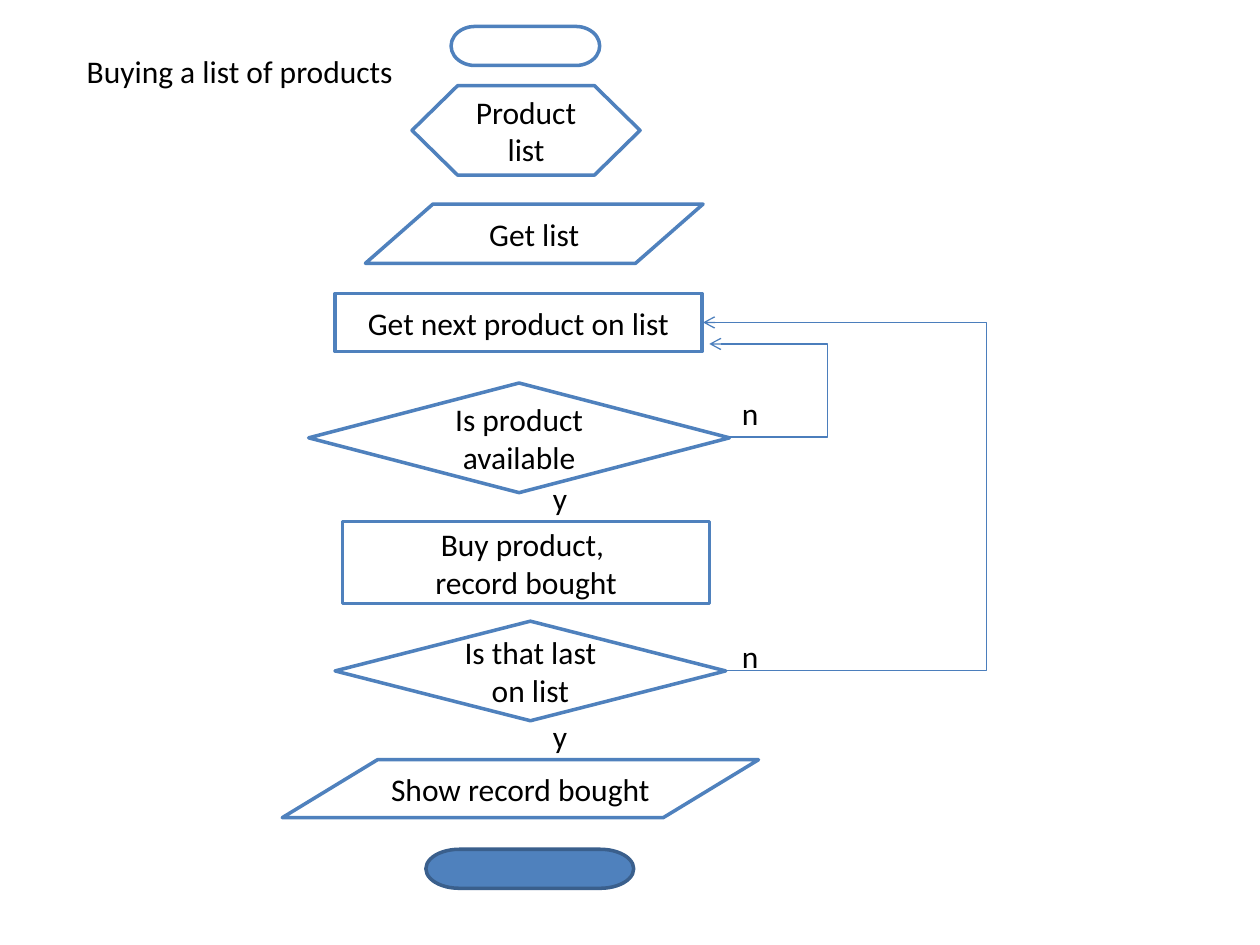
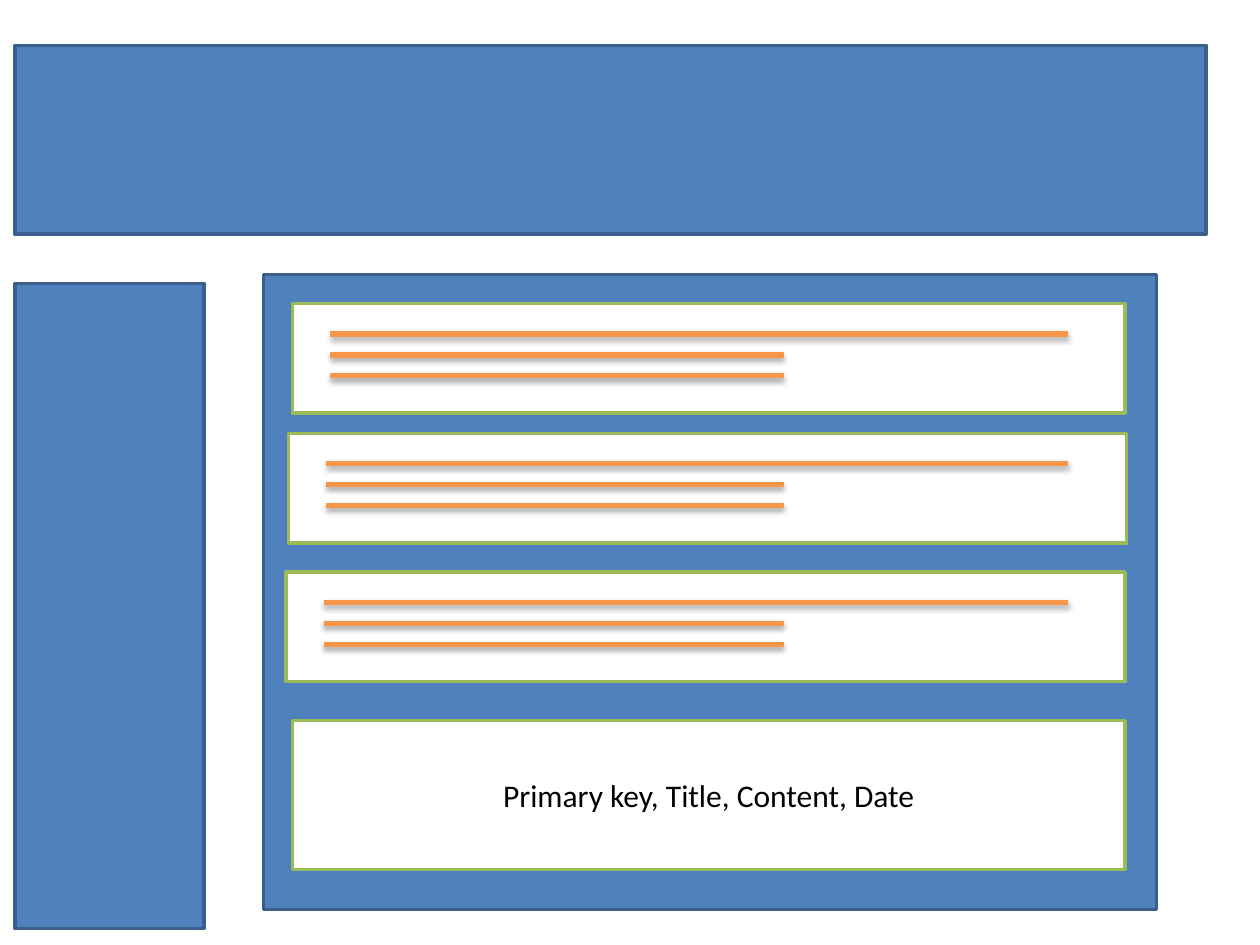
from lxml import etree
from pptx import Presentation
from pptx.dml.color import RGBColor
from pptx.enum.shapes import MSO_CONNECTOR as Link, MSO_SHAPE as Form
from pptx.enum.text import MSO_ANCHOR, MSO_AUTO_SIZE, PP_ALIGN
from pptx.oxml.ns import qn
from pptx.util import Inches, Pt

WHITE = RGBColor(0xFF, 0xFF, 0xFF)
BLACK = RGBColor(0x00, 0x00, 0x00)
BLUE = RGBColor(0x4F, 0x81, 0xBD)
DARK_BLUE = RGBColor(0x3A, 0x5F, 0x8C)
LINK_BLUE = RGBColor(0x4B, 0x7E, 0xBC)
GREEN = RGBColor(0x9B, 0xBB, 0x59)
ORANGE = RGBColor(0xF7, 0x96, 0x46)


class Sketch:
    """Draws diagram elements on the current slide in one shared style."""

    font = "Calibri"
    size = Pt(18)

    def __init__(self):
        self.deck = Presentation()
        self.deck.slide_width, self.deck.slide_height = Inches(10), Inches(7.5)
        self.page = None

    def new_page(self):
        self.page = self.deck.slides.add_slide(self.deck.slide_layouts[6])

    def set_text(self, frame, text, align):
        frame.text = text
        for para in frame.paragraphs:
            para.alignment = align
            for span in para.runs:
                span.font.name, span.font.size = self.font, self.size
                span.font.color.rgb = BLACK

    def box(self, form, left, top, width, height, text="", fill=WHITE, edge=BLUE, group=None):
        shapes = (group or self.page).shapes
        box = shapes.add_shape(form, Inches(left), Inches(top), Inches(width), Inches(height))
        box.shadow.inherit = False
        box.fill.solid()
        box.fill.fore_color.rgb = fill
        box.line.color.rgb = edge
        box.line.width = Pt(2)
        if text:
            box.text_frame.vertical_anchor = MSO_ANCHOR.MIDDLE
            self.set_text(box.text_frame, text, PP_ALIGN.CENTER)

    def panel(self, left, top, width, height):
        self.box(Form.RECTANGLE, left, top, width, height, fill=BLUE, edge=DARK_BLUE)

    def label(self, text, left, top, width, height=0.4):
        box = self.page.shapes.add_textbox(Inches(left), Inches(top), Inches(width), Inches(height))
        box.text_frame.word_wrap = False
        box.text_frame.auto_size = MSO_AUTO_SIZE.SHAPE_TO_FIT_TEXT
        self.set_text(box.text_frame, text, PP_ALIGN.LEFT)

    def connect(self, kind, start, end, color, weight, group=None):
        shapes = (group or self.page).shapes
        line = shapes.add_connector(kind, *(Inches(value) for value in start + end))
        line.line.color.rgb = color
        line.line.width = Pt(weight)
        effects = etree.SubElement(line._element.spPr, qn("a:effectLst"))
        return line, effects

    def loop_back(self, start, end, turn):
        line, _ = self.connect(Link.ELBOW, start, end, LINK_BLUE, 0.75)
        bend = round((turn - start[0]) / (end[0] - start[0]) * 100000)
        guides = line._element.spPr.find(qn("a:prstGeom")).get_or_add_avLst()
        etree.SubElement(guides, qn("a:gd"), name="adj1", fmla=f"val {bend}")
        etree.SubElement(line.line._get_or_add_ln(), qn("a:tailEnd"), type="arrow")

    def text_stroke(self, left, right, top, group):
        _, effects = self.connect(Link.STRAIGHT, (left, top), (right, top), ORANGE, 3, group)
        shadow = etree.SubElement(effects, qn("a:outerShdw"), blurRad=str(Pt(3.1)),
                                  dist=str(Pt(1.8)), dir="5400000", rotWithShape="0")
        tint = etree.SubElement(shadow, qn("a:srgbClr"), val=str(BLACK))
        etree.SubElement(tint, qn("a:alpha"), val="35000")

    def post_card(self, left, top, width):
        card = self.page.shapes.add_group_shape()
        self.box(Form.RECTANGLE, left, top, width, 0.87, edge=GREEN, group=card)
        for row, right in enumerate((8.48, 6.22, 6.22)):
            self.text_stroke(left + 0.3, right, top + 0.24 + row * 0.5 / 3, card)


def draw_flowchart(sketch):
    sketch.new_page()
    sketch.label("Buying a list of products", 0.59, 0.36, 2.66, 0.71)
    steps = (
        (Form.FLOWCHART_TERMINATOR, 3.58, 0.21, 1.18, 0.31, ""),
        (Form.FLOWCHART_PREPARATION, 3.27, 0.68, 1.81, 0.71, "Product list"),
        (Form.FLOWCHART_DATA, 2.9, 1.62, 2.68, 0.47, "Get list"),
        (Form.FLOWCHART_PROCESS, 2.66, 2.33, 2.91, 0.46, "Get next product on list"),
        (Form.FLOWCHART_DECISION, 2.45, 3.04, 3.34, 0.87, "Is product available"),
        (Form.FLOWCHART_PROCESS, 2.72, 4.14, 2.91, 0.65, "Buy product, \nrecord bought"),
        (Form.DIAMOND, 2.66, 4.93, 3.1, 0.79, "Is that last on list"),
        (Form.FLOWCHART_DATA, 2.24, 6.03, 3.78, 0.46, "Show record bought"),
    )
    for step in steps:
        sketch.box(*step)
    sketch.box(Form.FLOWCHART_TERMINATOR, 3.38, 6.74, 1.65, 0.31, fill=BLUE, edge=DARK_BLUE)
    for yes_top, no_top in ((3.75, 3.08), (5.64, 5.01)):
        sketch.label("y", 4.29, yes_top, 0.32)
        sketch.label("n", 5.79, no_top, 0.34)
    sketch.loop_back((5.76, 5.32), (5.58, 2.56), turn=7.83)
    sketch.loop_back((5.79, 3.47), (5.63, 2.73), turn=6.57)


def draw_page_layout(sketch):
    sketch.new_page()
    sketch.panel(0.12, 0.36, 9.45, 1.5)
    sketch.panel(0.12, 2.25, 1.5, 5.12)
    sketch.panel(2.09, 2.18, 7.09, 5.04)
    for left, top, width in ((2.32, 2.41, 6.61), (2.29, 3.44, 6.65), (2.27, 4.54, 6.66)):
        sketch.post_card(left, top, width)
    sketch.box(Form.RECTANGLE, 2.32, 5.72, 6.61, 1.18,
               "Primary key, Title, Content, Date", edge=GREEN)


def main():
    sketch = Sketch()
    draw_flowchart(sketch)
    draw_page_layout(sketch)
    sketch.deck.save("out.pptx")


if __name__ == "__main__":
    main()
